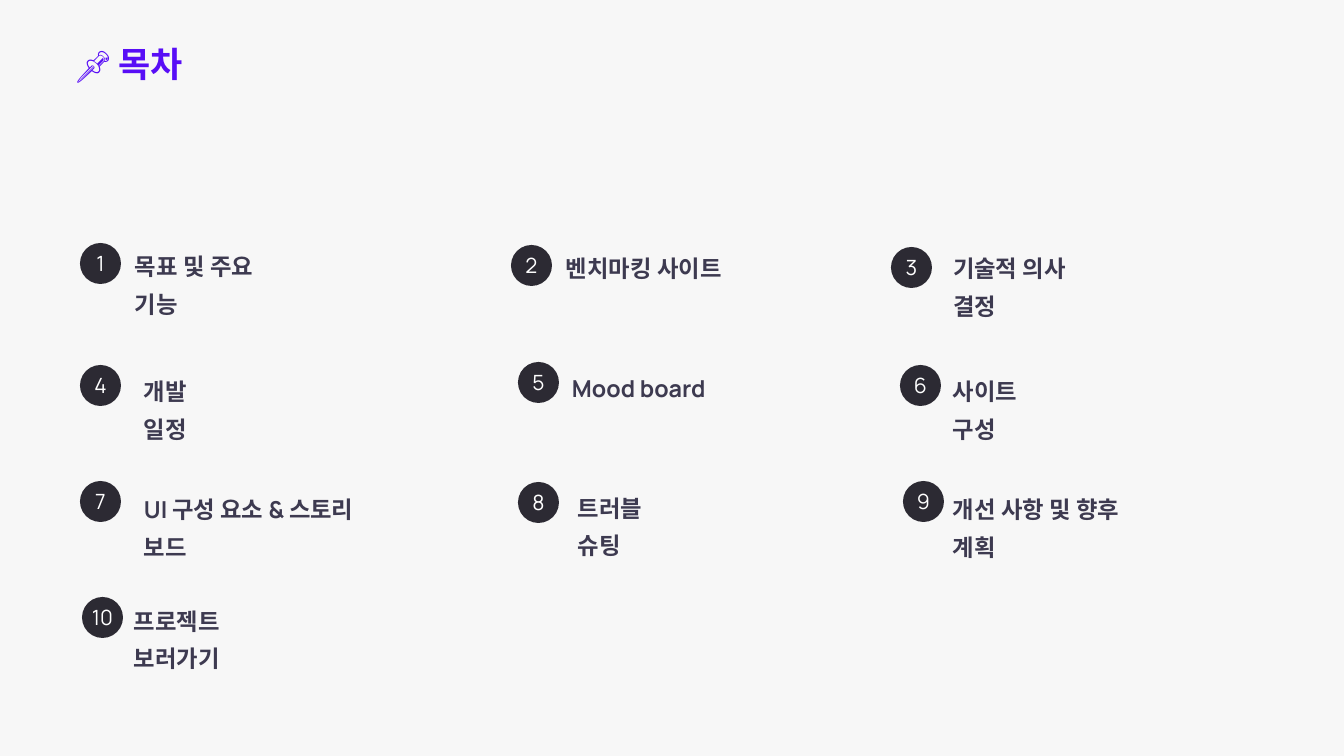
from dataclasses import dataclass

from pptx import Presentation
from pptx.dml.color import RGBColor as Rgb
from pptx.enum.shapes import MSO_SHAPE as Shape
from pptx.enum.text import MSO_ANCHOR as Anchor, MSO_AUTO_SIZE as Fit, PP_ALIGN as Align
from pptx.util import Pt


@dataclass(frozen=True)
class Theme:
    back: str = "F7F7F7"
    head: str = "580EF6"
    ink: str = "3D3A50"
    dark: str = "2C2A33"
    white: str = "FFFFFF"
    latin: str = "Manrope"
    korean: str = "Montserrat"
    title: int = 30
    label: int = 20
    digit: int = 18


THEME = Theme()
SIZE = 41   # badge side, px
LINE = 37   # label height, px

# Number, badge corner, label offset from the badge, label width, label runs
ITEMS = [
    (1, (80, 243), (55, 0), 162, [("목표 및 주요 기능", THEME.korean)]),
    (2, (511, 245), (55, 0), 170, [("벤치마킹 사이트", THEME.korean)]),
    (3, (891, 247), (62, -2), 155, [("기술적 의사 결정", THEME.korean)]),
    (4, (80, 365), (64, 3), 88, [("개발 일정", THEME.korean)]),
    (5, (518, 362), (54, 3), 135, [("Mood board", THEME.latin)]),
    (6, (900, 365), (53, 3), 108, [("사이트 구성", THEME.korean)]),
    (7, (80, 481), (64, 5), 255, [("UI ", THEME.latin), ("구성 요소", THEME.korean),
                                  (" & ", THEME.latin), ("스토리 보드", THEME.korean)]),
    (8, (518, 482), (60, 3), 108, [("트러블 슈팅", THEME.korean)]),
    (9, (903, 481), (50, 5), 209, [("개선 사항 및 향후 계획", THEME.korean)]),
    (10, (82, 597), (52, 1), 169, [("프로젝트 보러가기", THEME.korean)]),
]


def px(num):
    return round(num * 914400 / 84)


def place(shape, box):
    shape.left, shape.top, shape.width, shape.height = map(px, box)


def frame(shape, anchor, align, line=None):
    """Set up the text frame and return its only paragraph."""
    text = shape.text_frame
    text.margin_left = text.margin_right = text.margin_top = text.margin_bottom = 0
    text.vertical_anchor = anchor
    para = text.paragraphs[0]
    para.alignment = align
    if line:
        para.line_spacing = Pt(line)
        text.word_wrap = True
        text.auto_size = Fit.SHAPE_TO_FIT_TEXT
    else:
        text.word_wrap = False
    return para


def add_run(para, text, face, size, color, bold=False):
    run = para.add_run()
    run.text = text
    font = run.font
    font.name, font.size, font.bold = face, Pt(size), bold
    font.color.rgb = Rgb.from_string(color)


def heading(slide, box):
    title = slide.shapes.title
    place(title, box)
    para = frame(title, Anchor.TOP, Align.LEFT, 30)
    add_run(para, "📌 ", THEME.latin, THEME.title, THEME.head)
    add_run(para, "목차", THEME.latin, THEME.title, THEME.head, True)


def badge(slide, box, num):
    disc = slide.shapes.add_shape(Shape.ROUNDED_RECTANGLE, *map(px, box))
    disc.adjustments[0] = 0.5
    disc.shadow.inherit = False
    disc.fill.solid()
    disc.fill.fore_color.rgb = Rgb.from_string(THEME.dark)
    disc.line.fill.background()
    para = frame(disc, Anchor.MIDDLE, Align.CENTER)
    add_run(para, str(num), THEME.latin, THEME.digit, THEME.white)


def label(slide, box, runs):
    note = slide.shapes.add_textbox(*map(px, box))
    para = frame(note, Anchor.TOP, Align.LEFT, 32)
    for text, face in runs:
        add_run(para, text, face, THEME.label, THEME.ink, True)


def entry(slide, spot, num, shift, width, runs):
    left, top = spot
    badge(slide, (left, top, SIZE, SIZE), num)
    label(slide, (left + shift[0], top + shift[1], width, LINE), runs)


def main():
    deck = Presentation()
    deck.slide_width, deck.slide_height = px(1344), px(756)
    slide = deck.slides.add_slide(deck.slide_layouts[5])
    fill = slide.background.fill
    fill.solid()
    fill.fore_color.rgb = Rgb.from_string(THEME.back)

    # Title
    heading(slide, (76, 50, 107, 39))

    # Numbered contents
    for num, spot, shift, width, runs in ITEMS:
        entry(slide, spot, num, shift, width, runs)

    deck.save("out.pptx")


if __name__ == "__main__":
    main()
